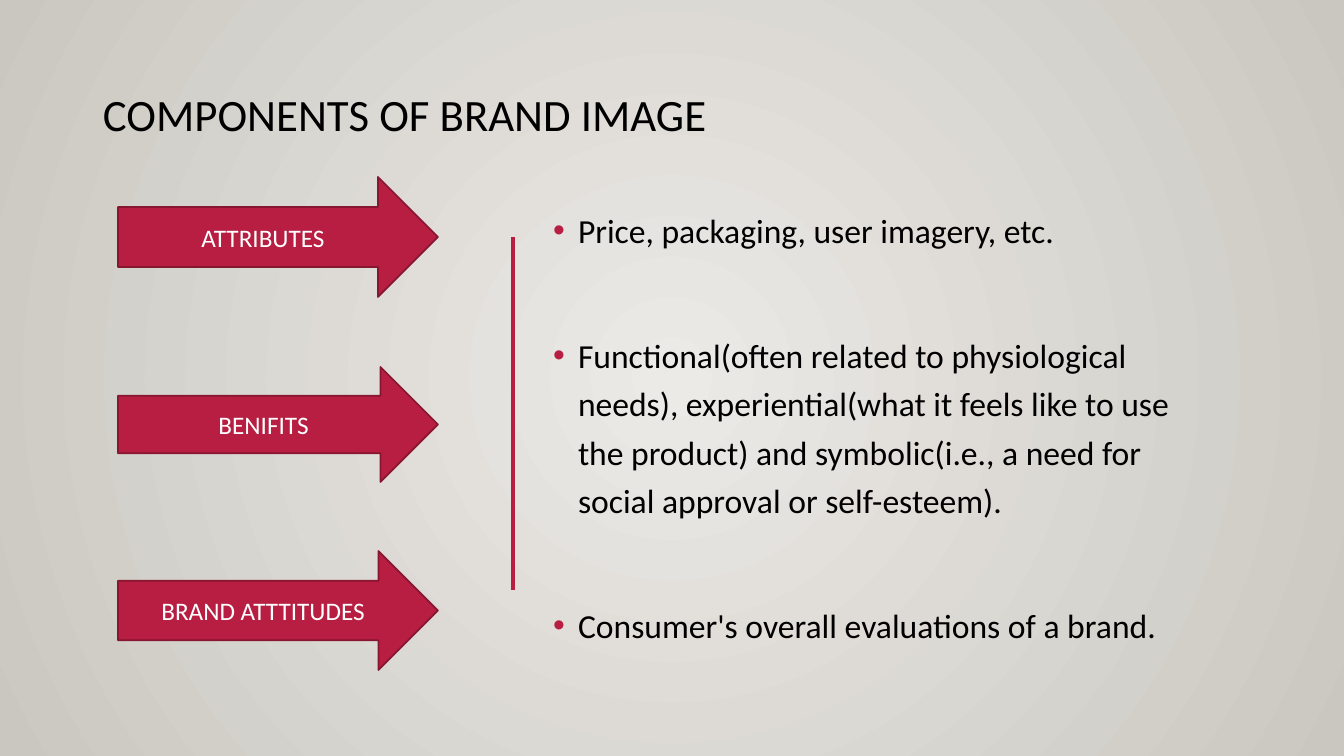
from dataclasses import dataclass

from lxml.etree import SubElement
from pptx import Presentation
from pptx.dml.color import RGBColor
from pptx.enum.shapes import MSO_CONNECTOR as Connector, MSO_SHAPE as Shape
from pptx.enum.text import MSO_ANCHOR as Anchor, PP_ALIGN as Align
from pptx.oxml.ns import qn
from pptx.util import Emu, Pt


@dataclass(frozen=True)
class Theme:
    font: str = "Calibri"
    ink: str = "000000"
    white: str = "FFFFFF"
    crimson: str = "B71E42"
    outline: str = "871631"
    centre: str = "ECEAE7"
    edge: str = "CAC7C1"
    title_size: int = 32
    body_size: int = 24
    label_size: int = 18


THEME = Theme()
WIDTH, HEIGHT = 1344, 756
EMU_PER_PX = 12192000 / WIDTH

# Label, top and height of each arrow
ARROWS = [
    ("ATTRIBUTES", 177, 120),
    ("BENIFITS", 367, 115),
    ("BRAND ATTTITUDES", 551, 119),
]
POINTS = [
    "Price, packaging, user imagery, etc.",
    "Functional(often related to physiological needs), experiential(what it "
    "feels like to use the product) and symbolic(i.e., a need for social "
    "approval or self-esteem).",
    "Consumer's\u00a0overall evaluations of a brand.",
]


def px(length):
    return Emu(round(length * EMU_PER_PX))


def rgb(code):
    return RGBColor.from_string(code)


def add_span(para, text, size, color):
    span = para.add_run()
    span.text = text
    span.font.name = THEME.font
    span.font.size = Pt(size)
    span.font.color.rgb = rgb(color)


def add_box(page, left, top, width, height, anchor):
    frame = page.shapes.add_textbox(px(left), px(top), px(width), px(height)).text_frame
    frame.word_wrap = True
    frame.vertical_anchor = anchor
    frame.margin_left = frame.margin_right = frame.margin_top = frame.margin_bottom = 0
    return frame


def fill_radial(fill, owner):
    fill.gradient()
    for stop, color in zip(fill.gradient_stops, (THEME.centre, THEME.edge)):
        stop.color.rgb = rgb(color)
    # Turn the linear gradient into a circular one
    gradient = owner.find(".//" + qn("a:gradFill"))
    linear = gradient.find(qn("a:lin"))
    circle = SubElement(gradient, qn("a:path"), path="circle")
    SubElement(circle, qn("a:fillToRect"), l="50000", t="50000", r="50000", b="50000")
    gradient.replace(linear, circle)


def add_backdrop(page):
    fill_radial(page.background.fill, page.element)
    backdrop = page.shapes.add_shape(Shape.RECTANGLE, 0, 0, px(WIDTH), px(HEIGHT))
    backdrop.shadow.inherit = False
    backdrop.line.fill.background()
    fill_radial(backdrop.fill, backdrop.element)


def add_title(page, text):
    para = add_box(page, 103, 66, 1009, 101, Anchor.MIDDLE).paragraphs[0]
    para.line_spacing = 0.9
    add_span(para, text, THEME.title_size, THEME.ink)


def add_divider(page, x, top, bottom):
    line = page.shapes.add_connector(Connector.STRAIGHT, px(x), px(top), px(x), px(bottom))
    line.line.color.rgb = rgb(THEME.crimson)
    line.line.width = Pt(2.5)
    SubElement(line.element.spPr, qn("a:effectLst"))


def add_bullet(para):
    props = para._p.get_or_add_pPr()
    props.set("marL", str(px(25)))
    props.set("indent", str(px(-25)))
    color = SubElement(props, qn("a:buClr"))
    SubElement(color, qn("a:srgbClr"), val=THEME.crimson)
    SubElement(props, qn("a:buFont"), typeface="Arial")
    SubElement(props, qn("a:buChar"), char="•")


def add_points(page, points):
    frame = add_box(page, 553, 202, 663, 444, Anchor.TOP)
    for index, text in enumerate(points):
        para = frame.add_paragraph() if index else frame.paragraphs[0]
        add_bullet(para)
        para.line_spacing = 1.2
        if index:
            para.space_before = Pt(54.6)
        add_span(para, text, THEME.body_size, THEME.ink)


def add_arrow(page, label, top, height):
    arrow = page.shapes.add_shape(Shape.RIGHT_ARROW, px(118), px(top), px(320), px(height))
    arrow.shadow.inherit = False
    arrow.fill.solid()
    arrow.fill.fore_color.rgb = rgb(THEME.crimson)
    arrow.line.color.rgb = rgb(THEME.outline)
    arrow.line.width = Pt(1.25)
    arrow.text_frame.vertical_anchor = Anchor.MIDDLE
    para = arrow.text_frame.paragraphs[0]
    para.alignment = Align.CENTER
    add_span(para, label, THEME.label_size, THEME.white)


def main():
    deck = Presentation()
    deck.slide_width, deck.slide_height = px(WIDTH), px(HEIGHT)
    page = deck.slides.add_slide(deck.slide_layouts[6])
    add_backdrop(page)

    # Heading, dividing line and explanations
    add_title(page, "COMPONENTS OF BRAND IMAGE")
    add_divider(page, 513, 237, 590)
    add_points(page, POINTS)

    # Component arrows
    for label, top, height in ARROWS:
        add_arrow(page, label, top, height)

    deck.save("out.pptx")


if __name__ == "__main__":
    main()
